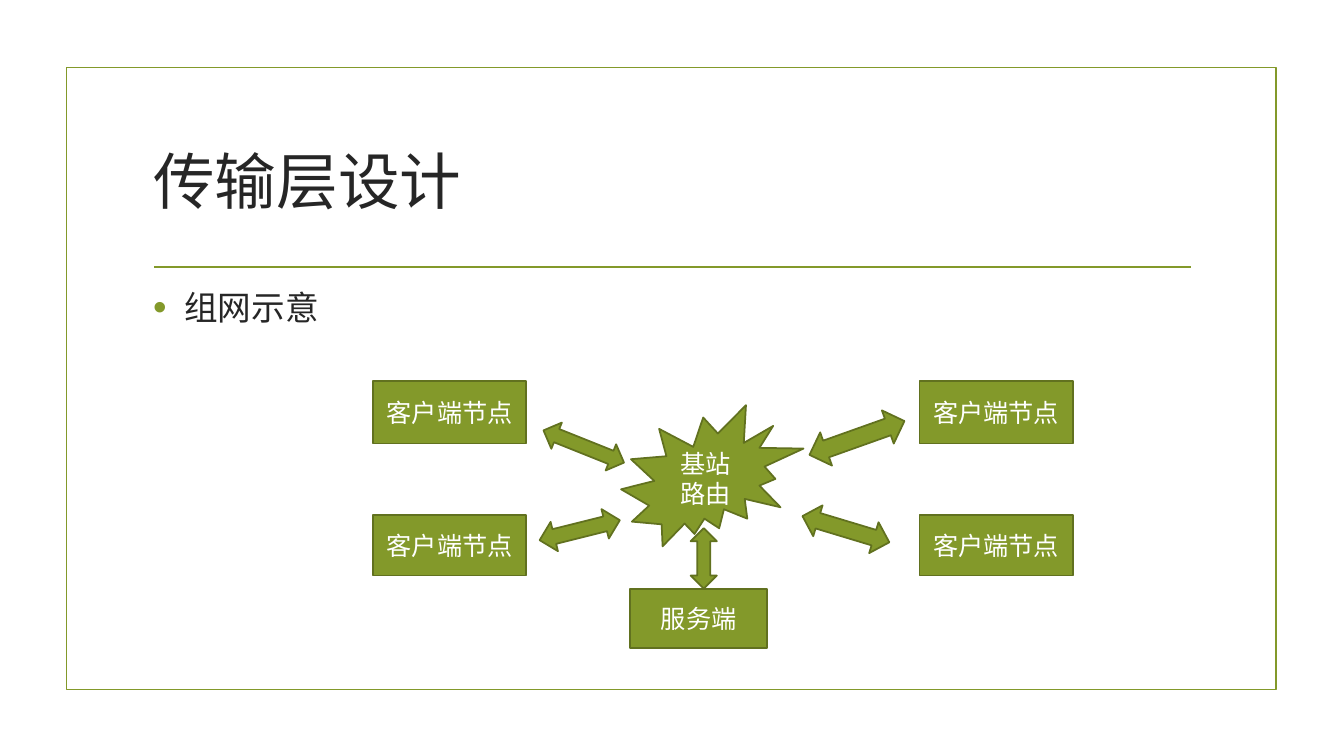
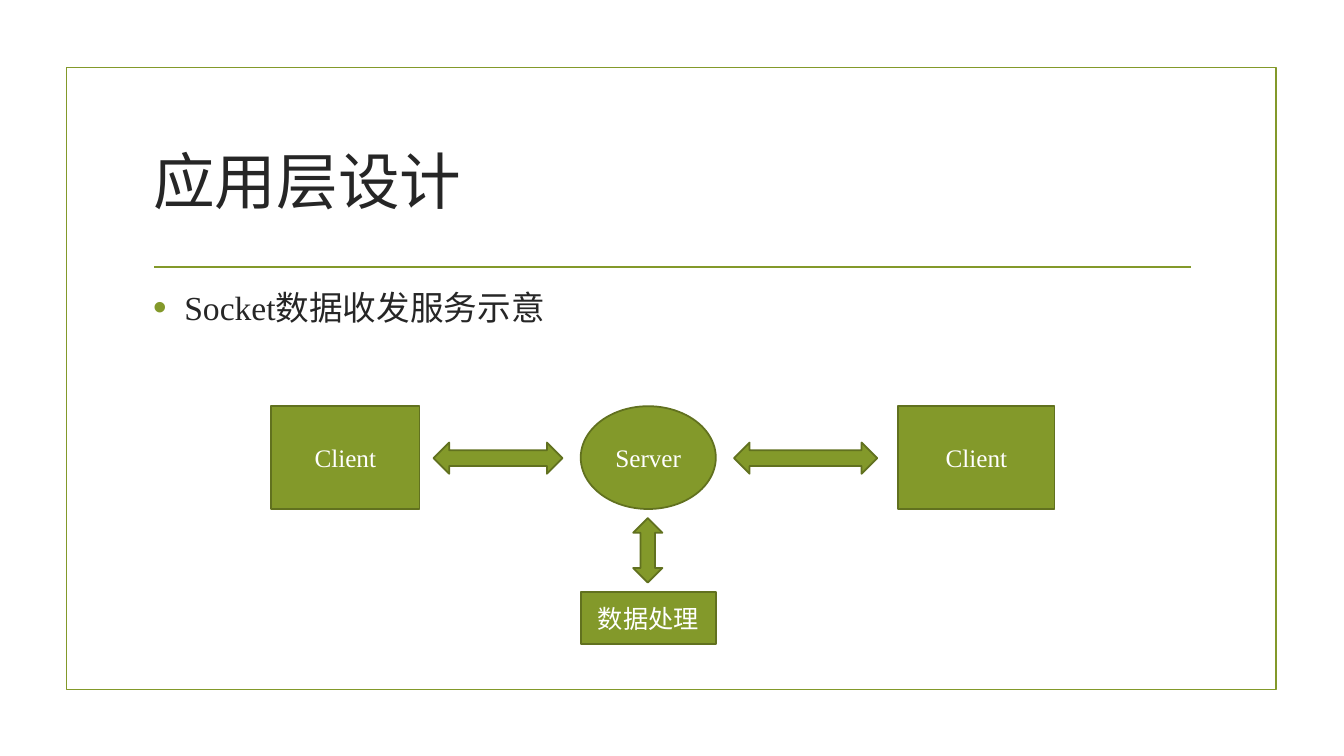
"""Build two network design slides with a shared frame and green diagrams."""
import itertools

import pptx
import pptx.dml.color
import pptx.enum.shapes
import pptx.enum.text
import pptx.oxml
import pptx.oxml.ns
import pptx.util

Inches = pptx.util.Inches
Pt = pptx.util.Pt
MSO_SHAPE = pptx.enum.shapes.MSO_SHAPE
PP_ALIGN = pptx.enum.text.PP_ALIGN
MSO_ANCHOR = pptx.enum.text.MSO_ANCHOR

COLORS = {"green": "83992A", "edge": "61711F", "dark": "262626", "white": "FFFFFF"}
FONT = "Times New Roman"
TITLE = {"size": Pt(44), "name": FONT, "bold": False}
BODY = {"size": Pt(24), "name": FONT}
LABEL = {"size": Pt(18), "name": FONT}
BODY_SPACING = {"space_before": Pt(4.8), "space_after": Pt(6), "alignment": PP_ALIGN.LEFT}
LINE_WIDTH = Pt(1.25)


def rgb(name):
    return pptx.dml.color.RGBColor.from_string(COLORS[name])


def apply(target, values):
    for name, value in values.items():
        setattr(target, name, value)


class Deck:
    def __init__(self):
        self.prs = pptx.Presentation()
        apply(self.prs, {"slide_width": Inches(13.33), "slide_height": Inches(7.5)})

    def slide(self, title, bullet, width):
        self.s = self.prs.slides.add_slide(self.prs.slide_layouts[5])
        self.box(MSO_SHAPE.RECTANGLE, 0.66, 0.67, 12, 6.17, fill=None, line="green")
        self.rule(1.53, 2.65, 11.81)
        self.title(title)
        self.bullet(bullet, width)

    def add_text(self, p, text, style, color):
        r = p.add_run()
        r.text = text
        apply(r.font, style)
        r.font.color.rgb = rgb(color)

    def title(self, text):
        sp = self.s.shapes.title
        apply(sp, {"left": Inches(1.42), "top": Inches(1.07),
                   "width": Inches(10.5), "height": Inches(1.43)})
        tf = sp.text_frame
        apply(tf, {"word_wrap": True, "vertical_anchor": MSO_ANCHOR.MIDDLE,
                   "auto_size": pptx.enum.text.MSO_AUTO_SIZE.NONE})
        p = tf.paragraphs[0]
        p.alignment = PP_ALIGN.LEFT
        self.add_text(p, text, TITLE, "dark")

    def bullet(self, text, width):
        sp = self.s.shapes.add_textbox(Inches(1.42), Inches(2.8), Inches(width), Inches(0.6))
        tf = sp.text_frame
        tf.word_wrap = True
        p = tf.paragraphs[0]
        apply(p, BODY_SPACING)
        self.add_text(p, text, BODY, "dark")
        ppr = p._p.get_or_add_pPr()
        ppr.set("marL", str(Inches(0.31)))
        ppr.set("indent", str(-Inches(0.31)))
        ns = pptx.oxml.ns.nsdecls("a")
        for xml in (f'<a:buClr {ns}><a:srgbClr val="{COLORS["green"]}"/></a:buClr>',
                    f'<a:buSzPct {ns} val="115000"/>',
                    f'<a:buFont {ns} typeface="Arial"/>',
                    f'<a:buChar {ns} char="•"/>'):
            ppr.append(pptx.oxml.parse_xml(xml))

    def rule(self, left, top, right):
        sp = self.s.shapes.add_connector(pptx.enum.shapes.MSO_CONNECTOR.STRAIGHT,
                                         Inches(left), Inches(top), Inches(right), Inches(top))
        sp.line.color.rgb = rgb("green")
        sp.line.width = LINE_WIDTH
        ns = pptx.oxml.ns.nsdecls("a")
        sp._element.spPr.append(pptx.oxml.parse_xml(f"<a:effectLst {ns}/>"))

    def box(self, kind, left, top, width, height, text="", fill="green", line="edge", rotation=0):
        sp = self.s.shapes.add_shape(kind, Inches(left), Inches(top), Inches(width), Inches(height))
        sp.shadow.inherit = False
        sp.rotation = rotation
        if fill:
            sp.fill.solid()
            sp.fill.fore_color.rgb = rgb(fill)
        else:
            sp.fill.background()
        sp.line.color.rgb = rgb(line)
        sp.line.width = LINE_WIDTH
        if text:
            tf = sp.text_frame
            apply(tf, {"word_wrap": True, "vertical_anchor": MSO_ANCHOR.MIDDLE})
            p = tf.paragraphs[0]
            p.alignment = PP_ALIGN.CENTER
            self.add_text(p, text, LABEL, "white")

    def arrow(self, left, top, width, height, rotation=0):
        kind = MSO_SHAPE.LEFT_RIGHT_ARROW if width > height else MSO_SHAPE.UP_DOWN_ARROW
        self.box(kind, left, top, width, height, rotation=rotation)


def transport_slide(deck):
    deck.slide("传输层设计", "组网示意", 2.58)
    deck.box(MSO_SHAPE.EXPLOSION2, 6.16, 4.02, 1.81, 1.4, "基站路由")
    for left, (top, height) in itertools.product((3.7, 9.12), ((3.78, 0.62), (5.11, 0.6))):
        deck.box(MSO_SHAPE.RECTANGLE, left, top, 1.52, height, "客户端节点")
    for arrow in ((5.36, 4.29, 0.86, 0.28, 21.8), (8, 4.17, 1, 0.35, -19.6),
                  (5.34, 5.11, 0.82, 0.3, -14), (7.94, 5.09, 0.9, 0.32, 16.8)):
        deck.arrow(*arrow)
    deck.box(MSO_SHAPE.RECTANGLE, 6.25, 5.84, 1.36, 0.59, "服务端")
    deck.arrow(6.85, 5.24, 0.26, 0.6)


def application_slide(deck):
    deck.slide("应用层设计", "Socket数据收发服务示意", 5.16)
    for kind, left, width, text in ((MSO_SHAPE.RECTANGLE, 2.69, 1.47, "Client"),
                                    (MSO_SHAPE.OVAL, 5.76, 1.34, "Server"),
                                    (MSO_SHAPE.RECTANGLE, 8.91, 1.55, "Client")):
        deck.box(kind, left, 4.03, width, 1.02, text)
    for left, width in ((4.3, 1.28), (7.28, 1.42)):
        deck.arrow(left, 4.39, width, 0.31)
    deck.box(MSO_SHAPE.RECTANGLE, 5.76, 5.87, 1.34, 0.52, "数据处理")
    deck.arrow(6.28, 5.14, 0.29, 0.64)


def main():
    deck = Deck()
    transport_slide(deck)
    application_slide(deck)
    deck.prs.save("out.pptx")


if __name__ == "__main__":
    main()
